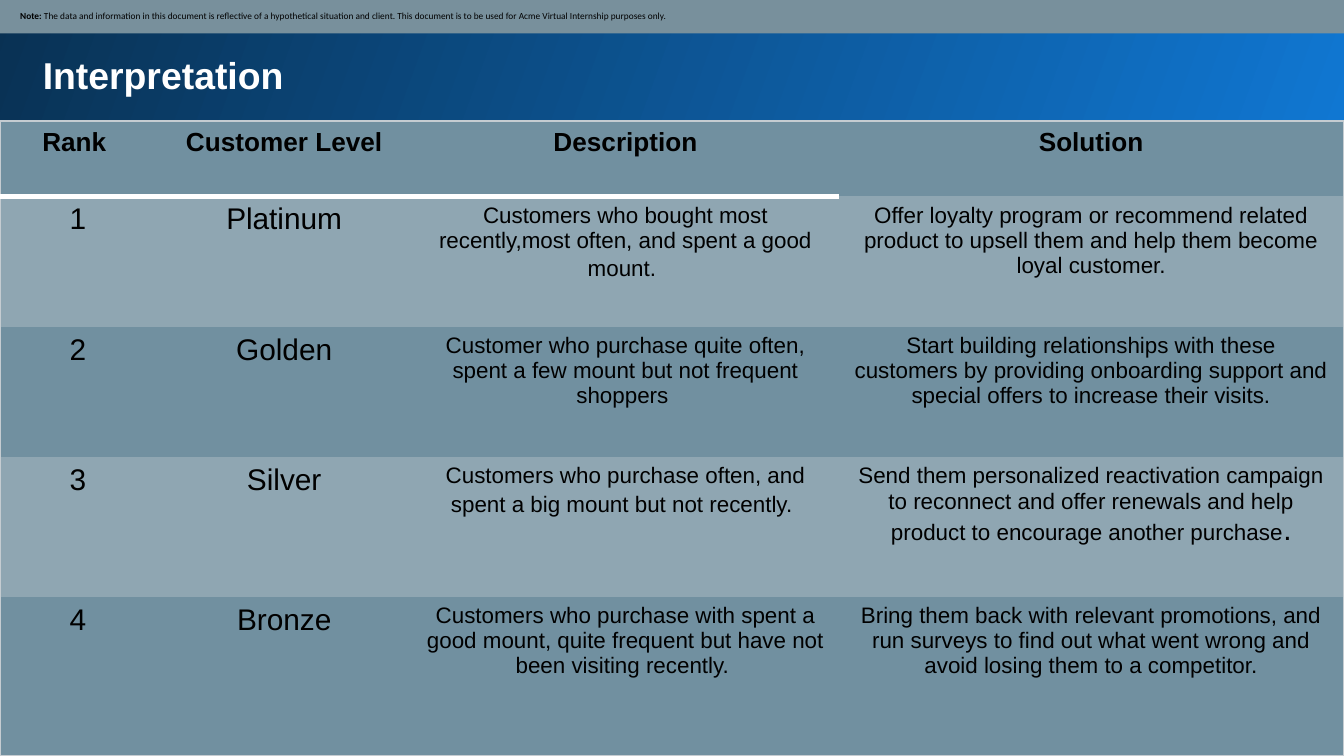
"""Build the Interpretation slide: title banner, note strip and customer table."""
from lxml.etree import SubElement
from pptx import Presentation
from pptx.dml.color import RGBColor
from pptx.enum.shapes import MSO_SHAPE as Shape
from pptx.enum.text import MSO_ANCHOR as Anchor, PP_ALIGN as Align
from pptx.oxml.ns import qn
from pptx.util import Inches, Pt

BLACK, WHITE, STRIP = "000000", "FFFFFF", "78909C"
DARK_ROW, LIGHT_ROW, EDGE = "7190A0", "8FA6B2", "C5CCD1"
COLUMNS = [1.16, 1.91, 3.17, 3.76]
ROWS = [0.56, 0.97, 0.97, 1.04, 1.18]
HEADERS = ["Rank ", "Customer Level", "Description", "Solution"]
LEVELS = [
    ("Platinum",
     "Customers who bought most recently,most often, and spent a good mount.",
     "Offer loyalty program or recommend related product to upsell them "
     "and help them become loyal customer."),
    ("Golden",
     "Customer who purchase quite often, spent a few mount but not frequent shoppers ",
     "Start building relationships with these customers by providing "
     "onboarding support and special offers to increase their visits."),
    ("Silver",
     "Customers who purchase often, and spent a big mount but not recently.",
     "Send them personalized reactivation campaign to reconnect and offer "
     "renewals and help product to encourage another purchase"),
    ("Bronze",
     "Customers who purchase with spent a good mount, quite frequent but "
     "have not been visiting recently. ",
     "Bring them back with relevant promotions, and run surveys to find out "
     "what went wrong and avoid losing them to a competitor."),
]
ENDINGS = {(1, 2): (" ", 14), (3, 2): (" ", 14), (3, 3): (".", 16)}
NOTE = ("The data and information in this document is reflective of a hypothetical "
        "situation and client. This document is to be used for Acme Virtual "
        "Internship purposes only.")


def rgb(value):
    return RGBColor.from_string(value)


class SlideBuilder:
    def __init__(self, page, font="Arial"):
        self.page = page
        self.font = font

    def style(self, span, size, color=BLACK, bold=False, font=None):
        span.font.name = font or self.font
        span.font.size = Pt(size)
        span.font.bold = bold
        span.font.color.rgb = rgb(color)

    def add_span(self, para, text, size, **look):
        span = para.add_run()
        span.text = text
        self.style(span, size, **look)

    def bar(self, left, top, width, height):
        box = self.page.shapes.add_shape(
            Shape.RECTANGLE, *map(Inches, (left, top, width, height)))
        box.shadow.inherit = False
        box.line.fill.background()
        return box

    def banner(self, *place, start, end, angle):
        fill = self.bar(*place).fill
        fill.gradient()
        fill.gradient_angle = angle
        for stop, color, position in zip(fill.gradient_stops, (start, end), (0, 1)):
            stop.color.rgb = rgb(color)
            stop.position = position

    def title(self, text, *place):
        frame = self.page.shapes.add_textbox(*map(Inches, place)).text_frame
        frame.word_wrap = True
        frame.margin_top = frame.margin_bottom = Inches(0.1)
        frame.text = text
        self.style(frame.paragraphs[0].runs[0], 20, WHITE, True)

    def note(self, label, text, *place):
        box = self.bar(*place)
        box.fill.solid()
        box.fill.fore_color.rgb = rgb(STRIP)
        frame = box.text_frame
        frame.vertical_anchor = Anchor.MIDDLE
        frame.margin_left = Inches(0.16)
        frame.margin_top = frame.margin_right = frame.margin_bottom = Inches(0.05)
        para = frame.paragraphs[0]
        para.alignment = Align.LEFT
        for words, bold in ((label, True), (text, False)):
            self.add_span(para, words, 5, bold=bold, font="Calibri")

    def borders(self, cell, edges):
        props = cell._tc.get_or_add_tcPr()
        for side in "LRTB":
            color, width = edges.get(side, (None, 0))
            line = SubElement(props, qn(f"a:ln{side}"), w=str(Pt(width)))
            if color:
                SubElement(SubElement(line, qn("a:solidFill")), qn("a:srgbClr"), val=color)
            else:
                SubElement(line, qn("a:noFill"))

    def cell(self, cell, text, size, bold, fill, edges, ending):
        cell.text = text
        para = cell.text_frame.paragraphs[0]
        para.alignment = Align.CENTER
        self.style(para.runs[0], size, bold=bold)
        if ending:
            self.add_span(para, *ending)
        self.borders(cell, edges)
        cell.fill.solid()
        cell.fill.fore_color.rgb = rgb(fill)

    def table(self, rows, left, top):
        table = self.page.shapes.add_table(
            len(ROWS), len(COLUMNS), Inches(left), Inches(top),
            Inches(sum(COLUMNS)), Inches(sum(ROWS))).table
        for column, width in zip(table.columns, COLUMNS):
            column.width = Inches(width)
        for row, height in zip(table.rows, ROWS):
            row.height = Inches(height)
        last_row, last_col = len(ROWS) - 1, len(COLUMNS) - 1
        for r, texts in enumerate(rows):
            for c, text in enumerate(texts):
                outer = {"L": c == 0, "R": c == last_col, "T": r == 0, "B": r == last_row}
                edges = {side: (EDGE, 0.75) for side, on in outer.items() if on}
                if r < 2 and c < last_col:
                    edges["T" if r else "B"] = (WHITE, 3)
                size = 14 if r == 0 else 16 if c < 2 else 12
                fill = LIGHT_ROW if r % 2 else DARK_ROW
                self.cell(table.cell(r, c), text, size, r == 0, fill, edges,
                          ENDINGS.get((r, c)))


def main():
    deck = Presentation()
    deck.slide_width = Inches(10)
    deck.slide_height = deck.slide_width * 9 // 16
    builder = SlideBuilder(deck.slides.add_slide(deck.slide_layouts[6]))
    builder.banner(-0.02, -0.02, 10.05, 0.92, start="1077D2", end="093153", angle=160)
    builder.title("Interpretation", 0.22, 0.29, 9.37, 0.83)
    builder.note("Note: ", NOTE, -0.01, -0.01, 10.03, 0.26)
    ranked = [(str(rank), *level) for rank, level in enumerate(LEVELS, 1)]
    builder.table([HEADERS, *ranked], 0, 0.9)
    deck.save("out.pptx")


if __name__ == "__main__":
    main()
